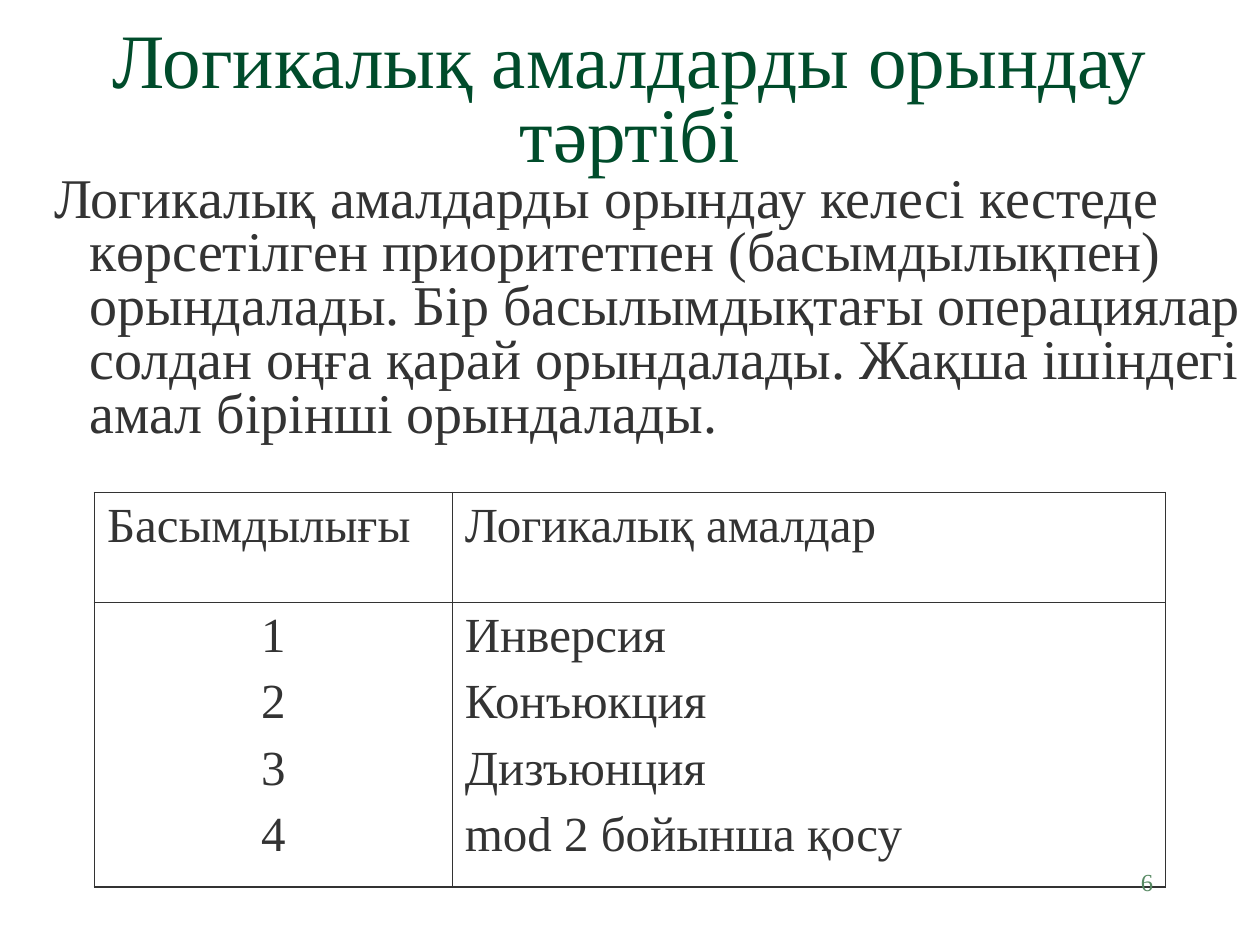
from pptx import Presentation
from pptx.dml.color import RGBColor
from pptx.enum.text import MSO_ANCHOR, MSO_AUTO_SIZE, PP_ALIGN
from pptx.oxml.ns import qn
from pptx.util import Inches, Pt
from lxml.etree import SubElement

FONT = "Times New Roman"
GREEN = RGBColor(0x00, 0x4C, 0x2B)
DARK = RGBColor(0x33, 0x33, 0x33)
PALE_GREEN = RGBColor(0x57, 0x89, 0x63)
WHITE = RGBColor(0xFF, 0xFF, 0xFF)
OUTER, INNER = Pt(1.08), Pt(0.45)

TITLE = "Логикалық амалдарды орындау тәртібі"
BODY = ("Логикалық амалдарды орындау келесі кестеде көрсетілген приоритетпен "
        "(басымдылықпен) орындалады. Бір басылымдықтағы операциялар солдан оңға "
        "қарай орындалады. Жақша ішіндегі амал бірінші орындалады.")
TABLE_ROWS = [
    [["Басымдылығы"], ["Логикалық амалдар"]],
    [["1", "2", "3", "4"],
     ["Инверсия", "Конъюкция", "Дизъюнция", "mod 2 бойынша қосу"]],
]
COLUMN_WIDTHS = [2.84, 5.66]
ROW_HEIGHTS = [0.87, 2.26]


def place(shape, left, top, width, height):
    shape.left, shape.top = Inches(left), Inches(top)
    shape.width, shape.height = Inches(width), Inches(height)


def format_paragraph(paragraph, size, color, align=PP_ALIGN.LEFT):
    paragraph.alignment = align
    font = paragraph.font
    font.name, font.size, font.bold = FONT, Pt(size), False
    font.color.rgb = color


def fill_placeholder(shape, text, size, color, align, anchor):
    frame = shape.text_frame
    frame.text = text
    frame.word_wrap = True
    frame.auto_size = MSO_AUTO_SIZE.NONE
    frame.vertical_anchor = anchor
    paragraph = frame.paragraphs[0]
    paragraph.line_spacing = 0.8
    paragraph.space_before = Pt(0)
    format_paragraph(paragraph, size, color, align)
    return paragraph


def hang_without_bullet(paragraph, margin, indent):
    properties = paragraph._p.get_or_add_pPr()
    properties.set("marL", str(Inches(margin)))
    properties.set("indent", str(Inches(indent)))
    properties.insert_element_before(
        properties.makeelement(qn("a:buNone"), {}), "a:tabLst", "a:defRPr", "a:extLst")


def set_borders(cell, widths):
    properties = cell._tc.get_or_add_tcPr()
    for side, width in widths.items():
        line = SubElement(properties, qn(f"a:ln{side}"), w=str(width))
        fill = SubElement(line, qn("a:solidFill"))
        SubElement(fill, qn("a:srgbClr"), val=str(DARK))


def fill_cell(cell, lines, align):
    frame = cell.text_frame
    frame.text = "\n".join(lines)
    for index, paragraph in enumerate(frame.paragraphs):
        paragraph.space_before = Pt(7 if index else 0)
        format_paragraph(paragraph, 28, DARK, align)


def add_priority_table(slide):
    table = slide.shapes.add_table(
        2, 2, Inches(0.75), Inches(3.91),
        Inches(sum(COLUMN_WIDTHS)), Inches(sum(ROW_HEIGHTS))).table
    for column, width in zip(table.columns, COLUMN_WIDTHS):
        column.width = Inches(width)
    for row, height in zip(table.rows, ROW_HEIGHTS):
        row.height = Inches(height)
    for r, row in enumerate(TABLE_ROWS):
        for c, lines in enumerate(row):
            cell = table.cell(r, c)
            # Heavier lines on the outside of the grid
            set_borders(cell, {"L": INNER if c else OUTER, "R": OUTER if c else INNER,
                               "T": INNER if r else OUTER, "B": OUTER if r else INNER})
            cell.fill.solid()
            cell.fill.fore_color.rgb = WHITE
            is_number = r == 1 and c == 0
            fill_cell(cell, lines, PP_ALIGN.CENTER if is_number else PP_ALIGN.LEFT)


def add_page_number(slide, number):
    box = slide.shapes.add_textbox(Inches(7.17), Inches(6.83), Inches(2.08), Inches(0.5))
    box.text_frame.word_wrap = True
    box.text_frame.text = number
    format_paragraph(box.text_frame.paragraphs[0], 14, PALE_GREEN, PP_ALIGN.RIGHT)


def main():
    presentation = Presentation()
    presentation.slide_width, presentation.slide_height = Inches(10), Inches(7.5)
    slide = presentation.slides.add_slide(presentation.slide_layouts[1])

    # Title
    title = slide.shapes.title
    place(title, 0.75, 0.24, 8.5, 1.22)
    fill_placeholder(title, TITLE, 44, GREEN, PP_ALIGN.CENTER, MSO_ANCHOR.BOTTOM)

    # Introductory text
    body = slide.placeholders[1]
    place(body, 0.23, 1.34, 9.77, 2.45)
    paragraph = fill_placeholder(body, BODY, 32, DARK, PP_ALIGN.LEFT, MSO_ANCHOR.TOP)
    hang_without_bullet(paragraph, 0.38, -0.28)

    # Table of priorities and page number
    add_priority_table(slide)
    add_page_number(slide, "6")

    presentation.save("out.pptx")


if __name__ == "__main__":
    main()
